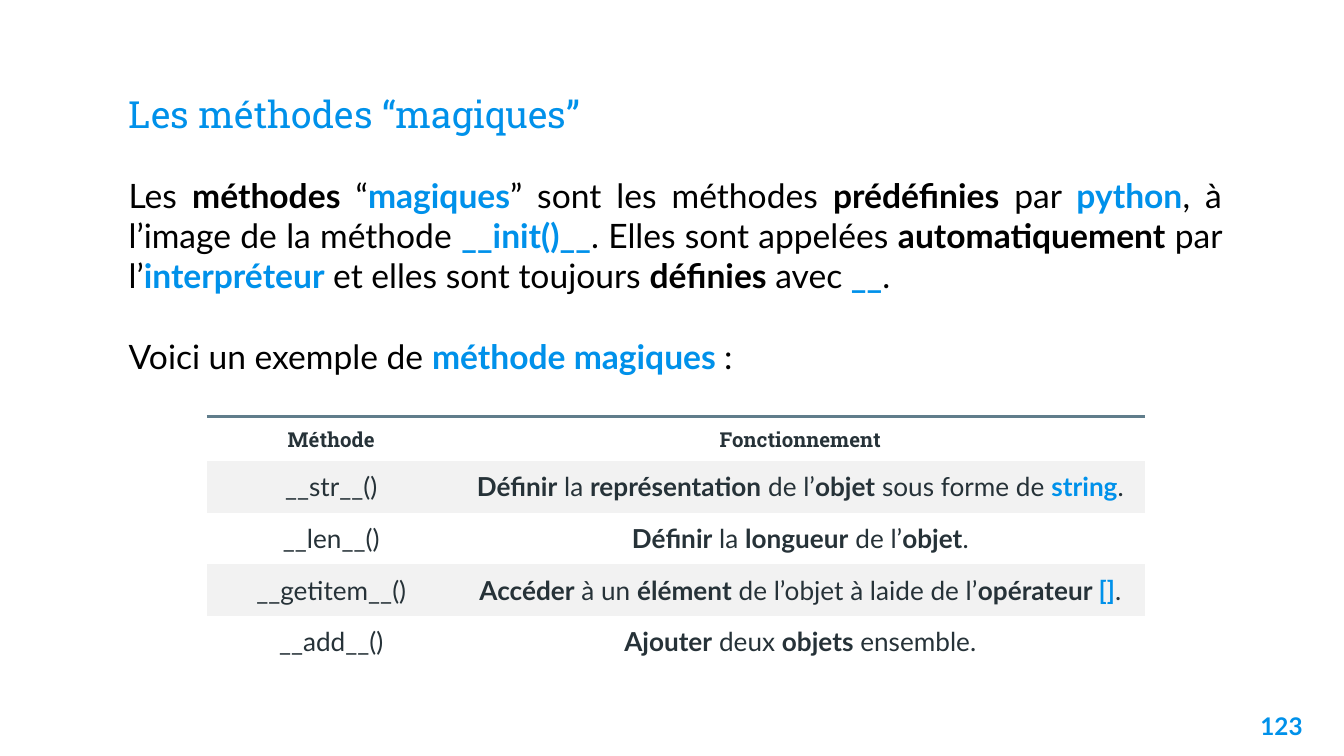
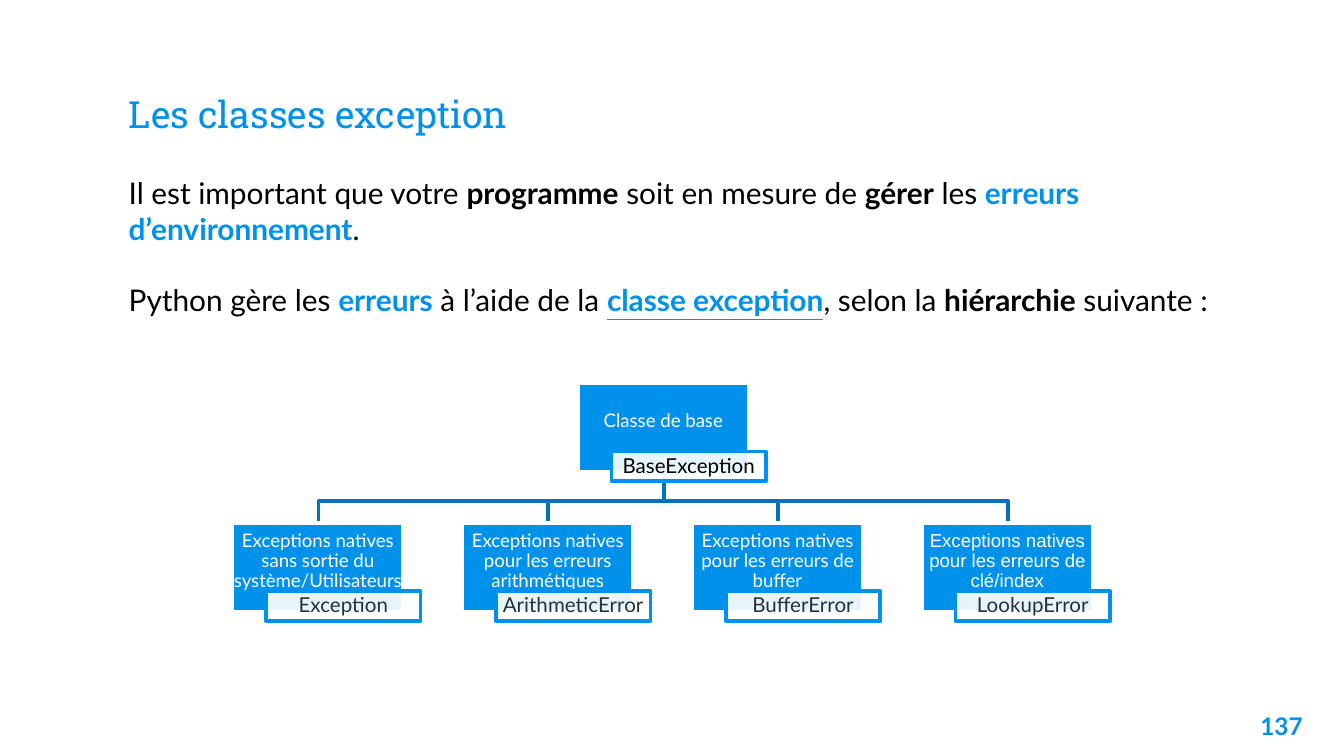
"""Build two course slides: magic methods and the exception classes."""
from dataclasses import dataclass

from lxml.etree import SubElement
from pptx import Presentation
from pptx.dml.color import RGBColor
from pptx.enum.shapes import MSO_SHAPE
from pptx.enum.text import MSO_ANCHOR, PP_ALIGN
from pptx.oxml.ns import qn
from pptx.util import Inches, Pt


@dataclass(frozen=True)
class Theme:
    """Colours, fonts and type sizes shared by the slides."""
    accent: str = "0091EA"
    link_line: str = "0074BB"
    rule: str = "607D8B"
    ink: str = "263238"
    black: str = "000000"
    white: str = "FFFFFF"
    band: str = "F2F2F2"
    serif: str = "Roboto Slab"
    sans: str = "Lato"
    fallback: str = "Arial"
    title: int = 20
    lead: int = 18
    body: int = 16
    cell: int = 14
    number: int = 13
    label: int = 11
    card: int = 10


@dataclass(frozen=True)
class Span:
    """A piece of text with its emphasis."""
    text: str
    bold: bool = False
    accent: bool = False
    underline: bool = False


THEME = Theme()
TABLE_HEIGHT, HEADER_HEIGHT = 1.87, 0.33
CARD_SIZE = (1.27, 0.66)
LABEL_SIZE = (1.15, 0.22)
LABEL_OFFSET = (0.25, 0.51)
STEM = 0.64
ROOT = (4.3, 2.85)
CARD_LEFT, CARD_TOP, CARD_STEP = 1.73, 3.89, 1.71
BUS_TOP = 3.73


def strong(text):
    """Return a bold span."""
    return Span(text, bold=True)


def key(text, underline=False):
    """Return a bold span in the accent colour."""
    return Span(text, bold=True, accent=True, underline=underline)


def colour(value):
    """Turn a hex value into a colour."""
    return RGBColor.from_string(value)


def lengths(*values):
    """Turn numbers into lengths in inches."""
    return [Inches(value) for value in values]


def write(para, spans, size, tint, face=THEME.sans, align=PP_ALIGN.LEFT):
    """Fill a paragraph run by run; plain strings are unemphasised."""
    para.alignment = align
    for item in spans:
        span = Span(item) if isinstance(item, str) else item
        run = para.add_run()
        run.text = span.text
        font = run.font
        font.name, font.size = face, Pt(size)
        font.bold, font.underline = span.bold, span.underline
        font.color.rgb = colour(THEME.accent if span.accent else tint)


def set_frame(frame, insets, anchor=MSO_ANCHOR.TOP):
    """Set wrapping, insets and anchor of a text frame."""
    frame.word_wrap = True
    frame.vertical_anchor = anchor
    (frame.margin_left, frame.margin_top,
     frame.margin_right, frame.margin_bottom) = lengths(*insets)


def add_text(page, place, paragraphs, size, tint, face=THEME.sans,
             align=PP_ALIGN.LEFT, anchor=MSO_ANCHOR.TOP, inset=0.1):
    """Add a text box whose paragraphs are one line apart."""
    frame = page.shapes.add_textbox(*lengths(*place)).text_frame
    set_frame(frame, (0.1, inset, 0.1, inset), anchor)
    for index, spans in enumerate(paragraphs):
        para = frame.add_paragraph() if index else frame.paragraphs[0]
        if index:
            para.space_before = Pt(size * 1.2)
        write(para, spans, size, tint, face, align)


def add_page(deck, title, number):
    """Add a blank slide with its title and page number."""
    page = deck.slides.add_slide(deck.slide_layouts[6])
    add_text(page, (0.86, 0.34, 8.28, 0.77), [[title]], THEME.title,
             THEME.accent, THEME.serif, anchor=MSO_ANCHOR.BOTTOM)
    add_text(page, (9.19, 5.19, 0.6, 0.43), [[key(number)]], THEME.number,
             THEME.accent, align=PP_ALIGN.RIGHT)
    return page


def add_body(page, height, paragraphs, size, align=PP_ALIGN.LEFT):
    """Add the main text below the title."""
    add_text(page, (0.86, 1.25, 8.33, height), paragraphs, size,
             THEME.black, align=align, inset=0.05)


def set_borders(cell, top=None):
    """Remove the borders of a cell, except an optional top rule."""
    properties = cell._tc.get_or_add_tcPr()
    for side in ("lnL", "lnR", "lnT", "lnB"):
        line = SubElement(properties, qn(f"a:{side}"))
        if side == "lnT" and top:
            line.set("w", str(Pt(1.5)))
            fill = SubElement(line, qn("a:solidFill"))
            SubElement(fill, qn("a:srgbClr"), val=top)
        else:
            SubElement(line, qn("a:noFill"))


def add_method_table(page, headings, rows):
    """Add the banded table of methods under a top rule."""
    grid = [[[strong(heading)] for heading in headings], *rows]
    row_height = (TABLE_HEIGHT - HEADER_HEIGHT) / len(rows)
    table = page.shapes.add_table(
        len(grid), len(headings),
        *lengths(1.54, 3.1, 6.98, TABLE_HEIGHT)).table
    table.first_row = table.horz_banding = False
    for column, width in zip(table.columns, (1.85, 5.13)):
        column.width = Inches(width)
    for index, contents in enumerate(grid):
        header = index == 0
        table.rows[index].height = Inches(
            HEADER_HEIGHT if header else row_height)
        for column, spans in enumerate(contents):
            cell = table.cell(index, column)
            cell.vertical_anchor = MSO_ANCHOR.MIDDLE
            cell.margin_left = cell.margin_right = Inches(0.1)
            cell.margin_top = cell.margin_bottom = Inches(0.07)
            set_borders(cell, THEME.rule if header else None)
            if header:
                cell.fill.background()
            else:
                cell.fill.solid()
                cell.fill.fore_color.rgb = colour(
                    THEME.band if index % 2 else THEME.white)
            write(cell.text_frame.paragraphs[0], spans,
                  THEME.label if header else THEME.cell, THEME.ink,
                  THEME.serif if header else THEME.sans, PP_ALIGN.CENTER)


def add_box(page, place, fill, line, text, size, tint, insets,
            face=THEME.sans):
    """Add an outlined rectangle with centred text."""
    box = page.shapes.add_shape(MSO_SHAPE.RECTANGLE, *lengths(*place))
    box.shadow.inherit = False
    box.fill.solid()
    box.fill.fore_color.rgb = colour(fill)
    box.line.color.rgb = colour(line)
    box.line.width = Pt(2)
    set_frame(box.text_frame, insets, MSO_ANCHOR.MIDDLE)
    para = box.text_frame.paragraphs[0]
    para.line_spacing = 0.9
    write(para, [text], size, tint, face, PP_ALIGN.CENTER)
    return box


def add_class_card(page, left, top, caption, name, name_tint=THEME.ink,
                   face=THEME.sans):
    """Add a card and the translucent label with its class name."""
    add_box(page, (left, top, *CARD_SIZE), THEME.accent, THEME.white, caption,
            THEME.card, THEME.white, (0.01, 0.01, 0.01, 0.09), face)
    corner = (left + LABEL_OFFSET[0], top + LABEL_OFFSET[1])
    label = add_box(page, (*corner, *LABEL_SIZE), THEME.white, THEME.accent,
                    name, THEME.label, name_tint, (0.03, 0.01, 0.03, 0.01))
    tone = label._element.spPr.find(qn("a:solidFill")).find(qn("a:srgbClr"))
    SubElement(tone, qn("a:alpha"), val="90000")


def add_branch(page, left):
    """Draw the bent line from the root card to the card at left."""
    start, end = ROOT[0] + STEM, left + STEM
    bends = [(start, BUS_TOP), (end, BUS_TOP), (end, CARD_TOP)]
    builder = page.shapes.build_freeform(
        *lengths(start, ROOT[1] + CARD_SIZE[1]))
    builder.add_line_segments([lengths(*bend) for bend in bends], close=False)
    branch = builder.convert_to_shape()
    branch.shadow.inherit = False
    branch.fill.background()
    branch.line.color.rgb = colour(THEME.link_line)
    branch.line.width = Pt(2)


def add_hierarchy(page, root, children):
    """Draw the class tree, with the lines behind the cards."""
    placed = [(CARD_LEFT + CARD_STEP * index, child)
              for index, child in enumerate(children)]
    for left, _ in reversed(placed):
        add_branch(page, left)
    add_class_card(page, *ROOT, *root, THEME.black)
    for left, (caption, name, face) in placed:
        add_class_card(page, left, CARD_TOP, caption, name, face=face)


def build_methods(deck):
    """Build the slide on magic methods."""
    page = add_page(deck, "Les méthodes “magiques”", "123")
    add_body(page, 1.62, [
        ["Les ", strong("méthodes"), " “", key("magiques"),
         "” sont les méthodes ", strong("prédéfinies"), " par ",
         key("python"), ", à l’image de la méthode ", key("__init()__"),
         ". Elles sont appelées ", strong("automatiquement"), " par l’",
         key("interpréteur"), " et elles sont toujours ",
         strong("définies"), " avec ", key("__"), "."],
        ["Voici un exemple de ", key("méthode magiques "), ":"],
    ], THEME.lead, PP_ALIGN.JUSTIFY)
    add_method_table(page, ("Méthode", "Fonctionnement"), [
        [["__str__()"],
         [strong("Définir"), " la ", strong("représentation"), " de l’",
          strong("objet"), " sous forme de ", key("string"), "."]],
        [["__len__()"],
         [strong("Définir"), " la ", strong("longueur"), " de l’",
          strong("objet"), "."]],
        [["__getitem__()"],
         [strong("Accéder"), " à un ", strong("élément"),
          " de l’objet à laide de l’", strong("opérateur "), key("[]"), "."]],
        [["__add__()"],
         [strong("Ajouter"), " deux ", strong("objets"), " ensemble."]],
    ])


def build_exceptions(deck):
    """Build the slide on the exception classes."""
    page = add_page(deck, "Les classes exception", "137")
    add_body(page, 1.18, [
        ["Il est important que votre ", strong("programme"),
         " soit en mesure de ", strong("gérer"), " les ",
         key("erreurs d’environnement"), "."],
        ["Python gère les ", key("erreurs"), " à l’aide de la ",
         key("classe exception", underline=True), ", selon la ",
         strong("hiérarchie"), " suivante :"],
    ], THEME.body)
    add_hierarchy(page, ("Classe de base", "BaseException"), [
        ("Exceptions natives sans sortie du système/Utilisateurs",
         "Exception", THEME.sans),
        ("Exceptions natives pour les erreurs arithmétiques",
         "ArithmeticError", THEME.sans),
        ("Exceptions natives pour les erreurs de buffer",
         "BufferError", THEME.sans),
        ("Exceptions natives pour les erreurs de clé/index",
         "LookupError", THEME.fallback),
    ])


def main():
    """Create and save the deck."""
    deck = Presentation()
    deck.slide_width = Inches(10)
    deck.slide_height = Inches(10 * 9 / 16)
    build_methods(deck)
    build_exceptions(deck)
    deck.save("out.pptx")


if __name__ == "__main__":
    main()
